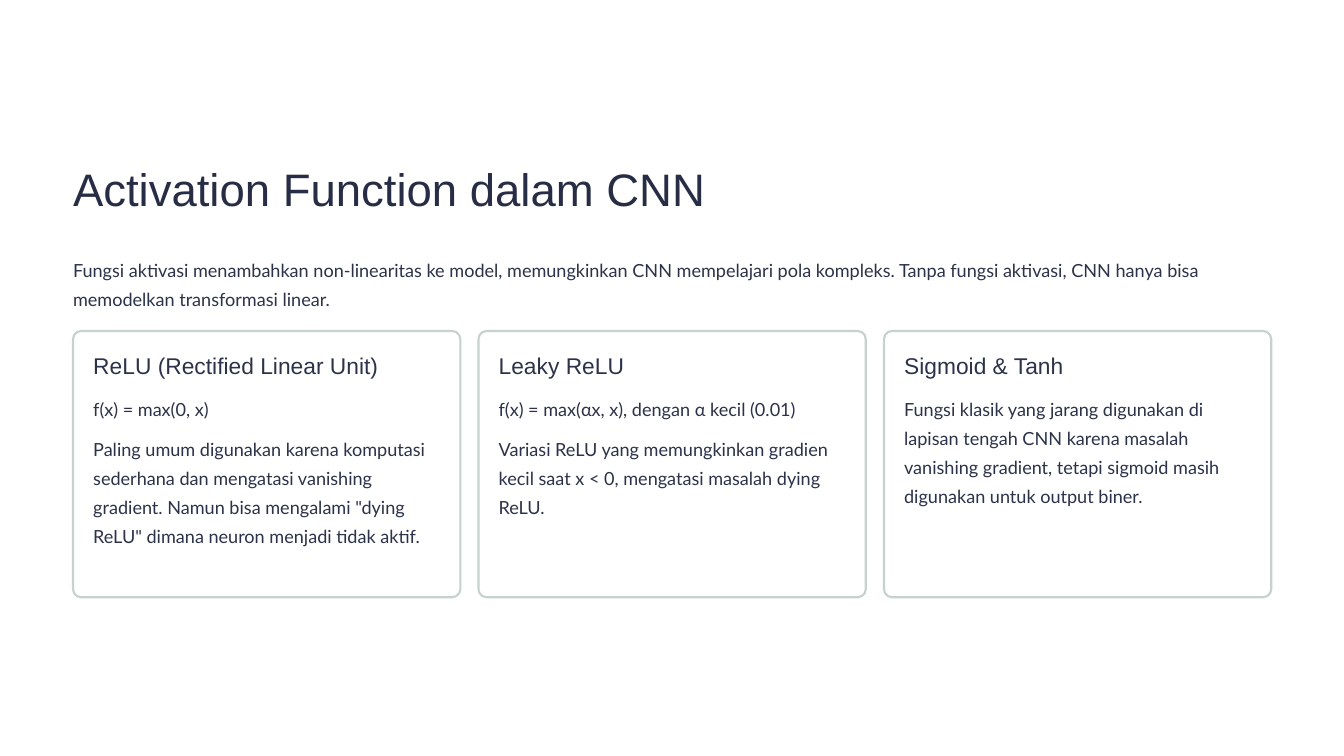
from dataclasses import dataclass

from pptx import Presentation
from pptx.dml.color import RGBColor
from pptx.enum.shapes import MSO_SHAPE
from pptx.slide import Slide
from pptx.util import Cm, Pt

TEXT_COLOR = "2C3249"
MARGIN = 2.21
CONTENT_WIDTH = 36.22
CARD_TOP = 10.01
CARD_WIDTH = 11.71
CARD_HEIGHT = 8.05
CARD_PITCH = 12.26
CARD_PADDING = 0.61
LINE_HEIGHT = 0.88
PARAGRAPH_GAP = 0.34


@dataclass(frozen=True)
class TextStyle:
    font: str
    size: float
    line_spacing: float
    color: str = TEXT_COLOR


@dataclass(frozen=True)
class Passage:
    text: str
    lines: int


@dataclass(frozen=True)
class Card:
    heading: str
    passages: tuple[Passage, ...]


TITLE = TextStyle("Arial", 39, 48.5, "272D45")
HEADING = TextStyle("Arial", 19.5, 24)
BODY = TextStyle("Lato", 15.5, 25)

CARDS = (
    Card("ReLU (Rectified Linear Unit)", (
        Passage("f(x) = max(0, x)", 1),
        Passage("Paling umum digunakan karena komputasi sederhana dan mengatasi vanishing "
                "gradient. Namun bisa mengalami \"dying ReLU\" dimana neuron menjadi "
                "tidak aktif.", 5),
    )),
    Card("Leaky ReLU", (
        Passage("f(x) = max(αx, x), dengan α kecil (0.01)", 1),
        Passage("Variasi ReLU yang memungkinkan gradien kecil saat x < 0, mengatasi "
                "masalah dying ReLU.", 3),
    )),
    Card("Sigmoid & Tanh", (
        Passage("Fungsi klasik yang jarang digunakan di lapisan tengah CNN karena masalah "
                "vanishing gradient, tetapi sigmoid masih digunakan untuk output biner.", 4),
    )),
)


def color(value: str) -> RGBColor:
    return RGBColor.from_string(value)


def add_text(slide: Slide, text: str, style: TextStyle, left: float, top: float,
             width: float, height: float) -> None:
    text_box = slide.shapes.add_textbox(Cm(left), Cm(top), Cm(width), Cm(height))
    frame = text_box.text_frame
    frame.word_wrap = True
    frame.margin_left = frame.margin_top = frame.margin_right = frame.margin_bottom = 0
    paragraph = frame.paragraphs[0]
    paragraph.text = text
    paragraph.line_spacing = Pt(style.line_spacing)
    paragraph.font.name = style.font
    paragraph.font.size = Pt(style.size)
    paragraph.font.color.rgb = color(style.color)


def add_card(slide: Slide, card: Card, left: float) -> None:
    shape = slide.shapes.add_shape(MSO_SHAPE.ROUNDED_RECTANGLE, Cm(left), Cm(CARD_TOP),
                                   Cm(CARD_WIDTH), Cm(CARD_HEIGHT))
    shape.adjustments[0] = 0.03
    shape.shadow.inherit = False
    shape.fill.solid()
    shape.fill.fore_color.rgb = color("FFFFFF")
    shape.line.color.rgb = color("C5D2CF")
    shape.line.width = Pt(1.8)

    text_left = left + CARD_PADDING
    text_width = CARD_WIDTH - 2 * CARD_PADDING
    top = CARD_TOP + CARD_PADDING
    add_text(slide, card.heading, HEADING, text_left, top, text_width, 0.86)
    top += 1.19
    for passage in card.passages:
        height = passage.lines * LINE_HEIGHT
        add_text(slide, passage.text, BODY, text_left, top, text_width, height)
        top += height + PARAGRAPH_GAP


def main() -> None:
    presentation = Presentation()
    presentation.slide_width = Cm(40.64)
    presentation.slide_height = Cm(22.86)
    slide = presentation.slides.add_slide(presentation.slide_layouts[6])
    slide.background.fill.solid()
    slide.background.fill.fore_color.rgb = color("FFFFFF")

    add_text(slide, "Activation Function dalam CNN", TITLE, MARGIN, 4.8, CONTENT_WIDTH, 1.73)
    add_text(slide, "Fungsi aktivasi menambahkan non-linearitas ke model, memungkinkan CNN "
             "mempelajari pola kompleks. Tanpa fungsi aktivasi, CNN hanya bisa memodelkan "
             "transformasi linear.", BODY, MARGIN, 7.62, CONTENT_WIDTH, 2 * LINE_HEIGHT)
    for index, card in enumerate(CARDS):
        add_card(slide, card, MARGIN + index * CARD_PITCH)

    presentation.save("out.pptx")


if __name__ == "__main__":
    main()
